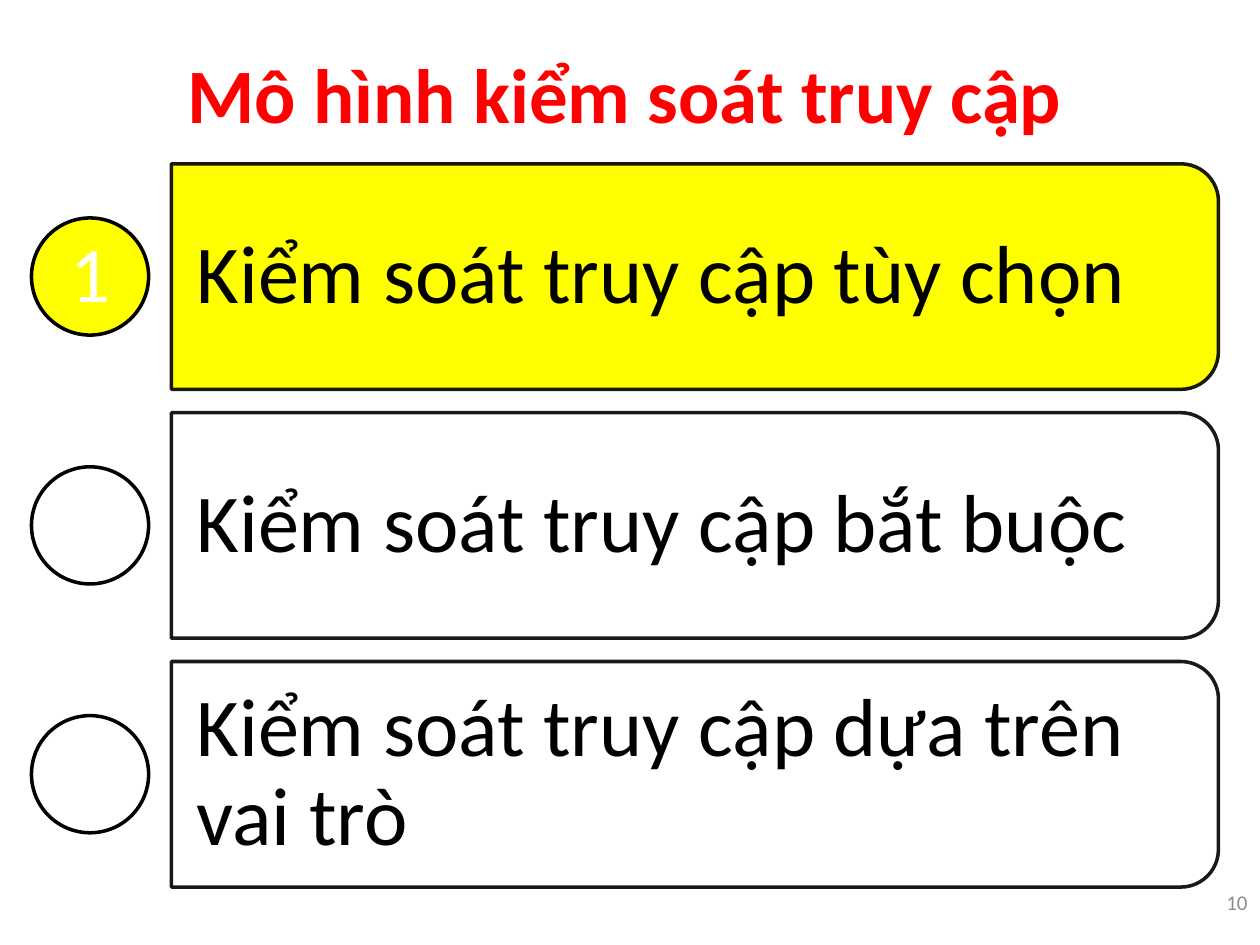
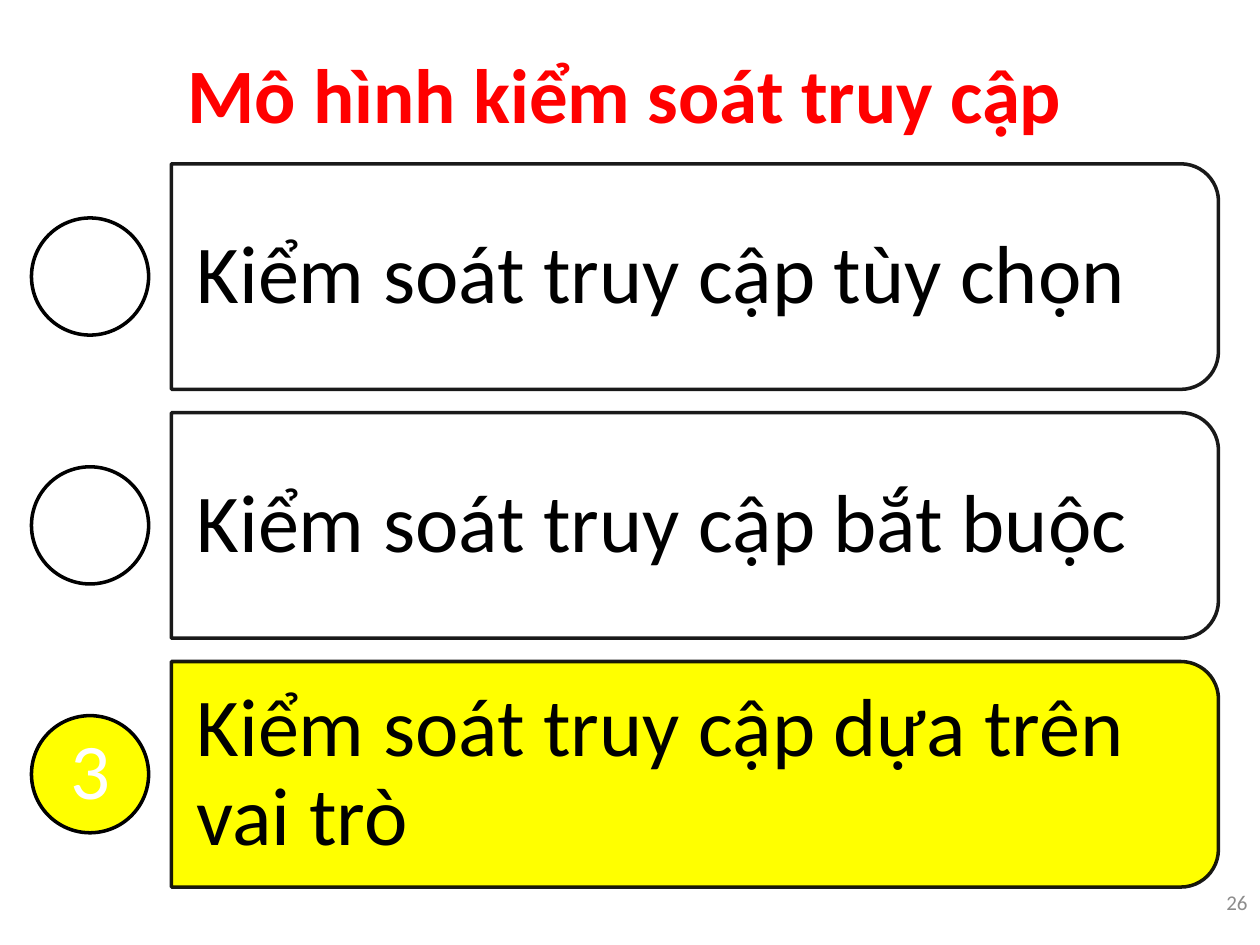
from lxml.etree import SubElement
from pptx import Presentation
from pptx.dml.color import RGBColor
from pptx.enum.shapes import MSO_SHAPE
from pptx.enum.text import MSO_ANCHOR, PP_ALIGN
from pptx.oxml.ns import qn
from pptx.util import Inches, Pt

COLORS = {
    "title": "FF0000",
    "highlight": "FFFF00",
    "plain": "FFFFFF",
    "outline": "000000",
    "text": "000000",
    "number": "FFFFFF",
    "page": "8C8C8C",
}
FONT = "Calibri"
TITLE = "Mô hình kiểm soát truy cập"
MODELS = [
    "Kiểm soát truy cập tùy chọn",
    "Kiểm soát truy cập bắt buộc",
    "Kiểm soát truy cập dựa trên vai trò",
]
SLIDES = [(1, 10), (3, 26)]
LIST_BOX = (0.25, 1.3, 9.42, 5.74)
ROW_H = 1.79
CIRCLE = 0.93
BAR_OFFSET = 1.11


def rgb(name):
    """Return the named palette colour."""
    return RGBColor.from_string(COLORS[name])


def set_alpha(parent, percent):
    """Give every solid colour below an XML element an opacity."""
    for clr in parent.iter(qn("a:srgbClr")):
        SubElement(clr, qn("a:alpha")).set("val", str(percent * 1000))


def add_text(slide, box, text, size, color, align=PP_ALIGN.LEFT, bold=False,
             insets=(0.1, 0.05), spacing=None):
    """Add a vertically centred text box."""
    tf = slide.shapes.add_textbox(*map(Inches, box)).text_frame
    tf.word_wrap = True
    tf.vertical_anchor = MSO_ANCHOR.MIDDLE
    tf.margin_left = tf.margin_right = Inches(insets[0])
    tf.margin_top = tf.margin_bottom = Inches(insets[1])
    p = tf.paragraphs[0]
    p.text = text
    p.alignment = align
    p.line_spacing = spacing
    font = p.runs[0].font
    font.name, font.size, font.bold = FONT, Pt(size), bold
    font.color.rgb = rgb(color)


def add_outlined(slide, kind, box, fill):
    """Add a filled preset shape with the shared outline."""
    sp = slide.shapes.add_shape(kind, *map(Inches, box))
    sp.shadow.inherit = False
    sp.fill.solid()
    sp.fill.fore_color.rgb = rgb(fill)
    sp.line.color.rgb = rgb("outline")
    sp.line.width = Pt(2)
    return sp


def add_bar(slide, box, text, active):
    """Add a bar with rounded right corners and its label."""
    left, top, width, height = box
    shift = (width - height) / 2
    sp = add_outlined(slide, MSO_SHAPE.ROUND_2_SAME_RECTANGLE,
                      (left + shift, top - shift, height, width),
                      "highlight" if active else "plain")
    sp.rotation = 90
    set_alpha(sp.line._get_or_add_ln() if active else sp._element.spPr, 90)
    add_text(slide, (left, top + 0.09, width - 0.09, height - 0.18), text,
             47, "text", insets=(0.2, 0.13), spacing=0.9)


def add_marker(slide, box, number, active):
    """Add a circle, numbered when its row is active."""
    left, top, width, height = box
    add_outlined(slide, MSO_SHAPE.OVAL, box, "highlight" if active else "plain")
    if active:
        add_text(slide, (left + 0.14, top + 0.14, width - 0.28, height - 0.28),
                 str(number), 45, "number", PP_ALIGN.CENTER,
                 insets=(0, 0), spacing=0.9)


def add_model_list(slide, box, current):
    """Stack the model rows evenly in the box and highlight the current one."""
    left, top, width, height = box
    pitch = (height - ROW_H) / (len(MODELS) - 1)
    for i, model in enumerate(MODELS):
        y = top + i * pitch
        active = i + 1 == current
        add_bar(slide, (left + BAR_OFFSET, y, width - BAR_OFFSET, ROW_H),
                model, active)
        add_marker(slide, (left, y + (ROW_H - CIRCLE) / 2, CIRCLE, CIRCLE),
                   i + 1, active)


def add_model_slide(prs, current, page):
    """Add one overview slide with title, model list and page number."""
    slide = prs.slides.add_slide(prs.slide_layouts[6])
    add_model_list(slide, LIST_BOX, current)
    add_text(slide, (0.25, 0.3, 9.42, 0.87), TITLE, 44, "title",
             PP_ALIGN.CENTER, bold=True)
    add_text(slide, (9.33, 6.82, 0.67, 0.68), str(page), 12, "page",
             PP_ALIGN.RIGHT)


def main():
    """Build and save the presentation."""
    prs = Presentation()
    prs.slide_width, prs.slide_height = Inches(10), Inches(7.5)
    for current, page in SLIDES:
        add_model_slide(prs, current, page)
    prs.save("out.pptx")


if __name__ == "__main__":
    main()
